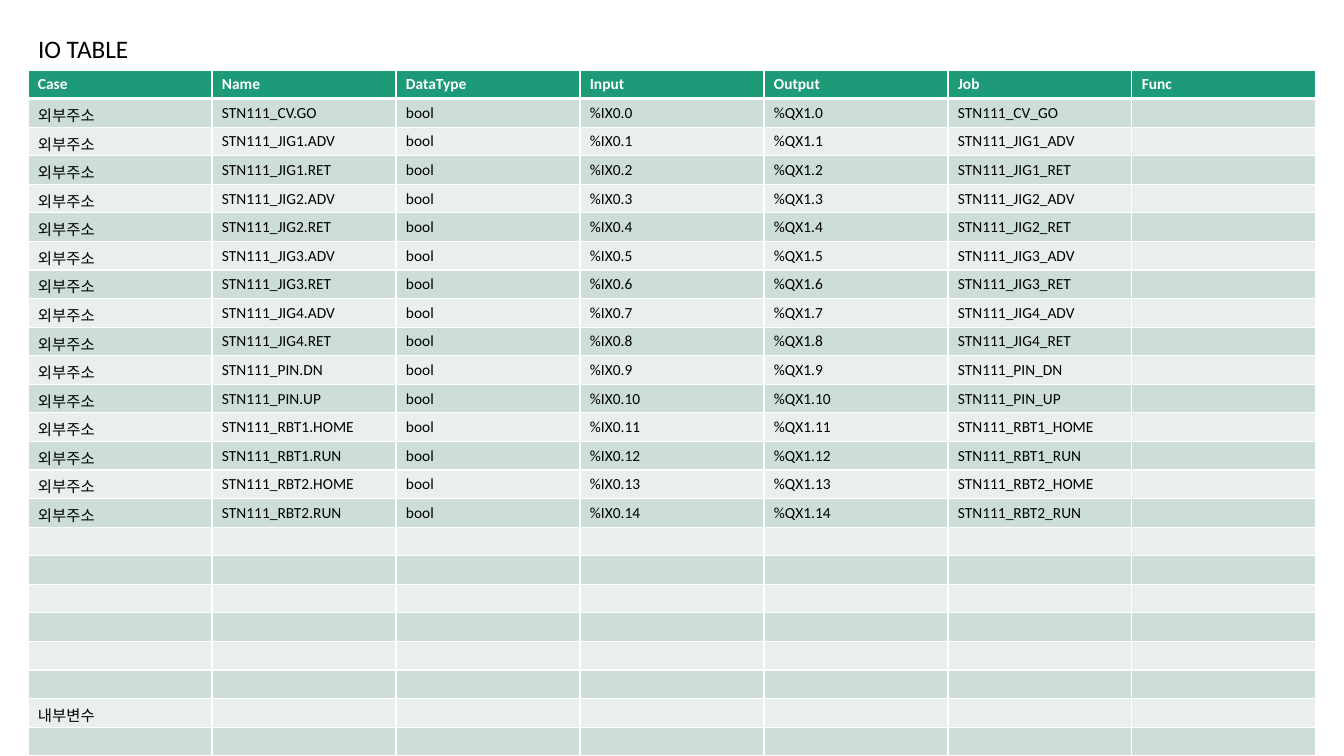
from lxml.etree import SubElement
from pptx import Presentation
from pptx.dml.color import RGBColor
from pptx.enum.text import MSO_ANCHOR, MSO_AUTO_SIZE, PP_ALIGN
from pptx.oxml.ns import qn
from pptx.util import Pt

TITLE = "IO TABLE"
HEADERS = ["Case", "Name", "DataType", "Input", "Output", "Job", "Func"]
SIGNALS = [
    "CV.GO",
    "JIG1.ADV", "JIG1.RET", "JIG2.ADV", "JIG2.RET",
    "JIG3.ADV", "JIG3.RET", "JIG4.ADV", "JIG4.RET",
    "PIN.DN", "PIN.UP",
    "RBT1.HOME", "RBT1.RUN", "RBT2.HOME", "RBT2.RUN",
]
STATION, EXTERNAL, INTERNAL = "STN111", "외부주소", "내부변수"
ROW_COUNT, INTERNAL_ROW = 24, 22

FONT = "Calibri"
WHITE, BLACK, GREEN = "FFFFFF", "000000", "1D9A78"
BANDS = ["E8EFEC", "CDDED6"]
EMU_PER_PX = 914400 / 100.8
PAGE_SIZE = (1344, 756)
TITLE_BOX = (28, 28, 140, 42)
TABLE_BOX = (28, 70, 1288, 686)
CELL_MARGINS = {"margin_left": 10, "margin_right": 10, "margin_top": 5, "margin_bottom": 1}


def px(length):
    """Turn pixels into EMU."""
    return round(length * EMU_PER_PX)


def color(value):
    """Turn a hex string into a colour."""
    return RGBColor.from_string(value)


def write(frame, text, *, size, fill=BLACK, bold=False):
    """Put one formatted run in a text frame."""
    para = frame.paragraphs[0]
    para.alignment = PP_ALIGN.LEFT
    if not text:
        SubElement(para._p, qn("a:endParaRPr"), sz=str(size * 100))
        return
    span = para.add_run()
    span.text = text
    span.font.name = FONT
    span.font.size = Pt(size)
    span.font.bold = bold
    span.font.color.rgb = color(fill)


def set_borders(cell, widths):
    """Draw solid white borders, given widths in points by side."""
    props = cell._tc.get_or_add_tcPr()
    for index, side in enumerate("LRTB"):
        line = props.makeelement(qn(f"a:ln{side}"), {"w": str(Pt(widths.get(side, 1)))})
        SubElement(SubElement(line, qn("a:solidFill")), qn("a:srgbClr"), val=WHITE)
        props.insert(index, line)


def table_rows():
    """Build all rows of cell texts."""
    blank = [""] * len(HEADERS)
    rows = [HEADERS]
    for index, signal in enumerate(SIGNALS):
        name = f"{STATION}_{signal}"
        rows.append([EXTERNAL, name, "bool", f"%IX0.{index}", f"%QX1.{index}",
                     name.replace(".", "_"), ""])
    rows += [blank] * (ROW_COUNT - len(rows))
    rows[INTERNAL_ROW] = [INTERNAL] + blank[1:]
    return rows


def add_title(page):
    """Place and format the title."""
    box = page.shapes.title
    box.left, box.top, box.width, box.height = map(px, TITLE_BOX)
    frame = box.text_frame
    frame.word_wrap = False
    frame.auto_size = MSO_AUTO_SIZE.SHAPE_TO_FIT_TEXT
    frame.vertical_anchor = MSO_ANCHOR.TOP
    write(frame, TITLE, size=18)


def add_io_table(page):
    """Add the table with its header and banded rows."""
    rows = table_rows()
    table = page.shapes.add_table(ROW_COUNT, len(HEADERS), *map(px, TABLE_BOX)).table
    for column in table.columns:
        column.width = px(TABLE_BOX[2] / len(HEADERS))
    for row_index, texts in enumerate(rows):
        table.rows[row_index].height = px(TABLE_BOX[3] / ROW_COUNT)
        header = row_index == 0
        widths = {0: {"B": 3}, 1: {"T": 3}}.get(row_index, {})
        for column_index, text in enumerate(texts):
            cell = table.cell(row_index, column_index)
            for name, margin in CELL_MARGINS.items():
                setattr(cell, name, px(margin))
            cell.fill.solid()
            cell.fill.fore_color.rgb = color(GREEN if header else BANDS[row_index % 2])
            set_borders(cell, widths)
            write(cell.text_frame, text, size=11, fill=WHITE if header else BLACK, bold=header)


def main():
    """Build and save the deck."""
    deck = Presentation()
    deck.slide_width, deck.slide_height = map(px, PAGE_SIZE)
    page = deck.slides.add_slide(deck.slide_layouts[5])
    add_title(page)
    add_io_table(page)
    deck.save("out.pptx")


if __name__ == "__main__":
    main()
